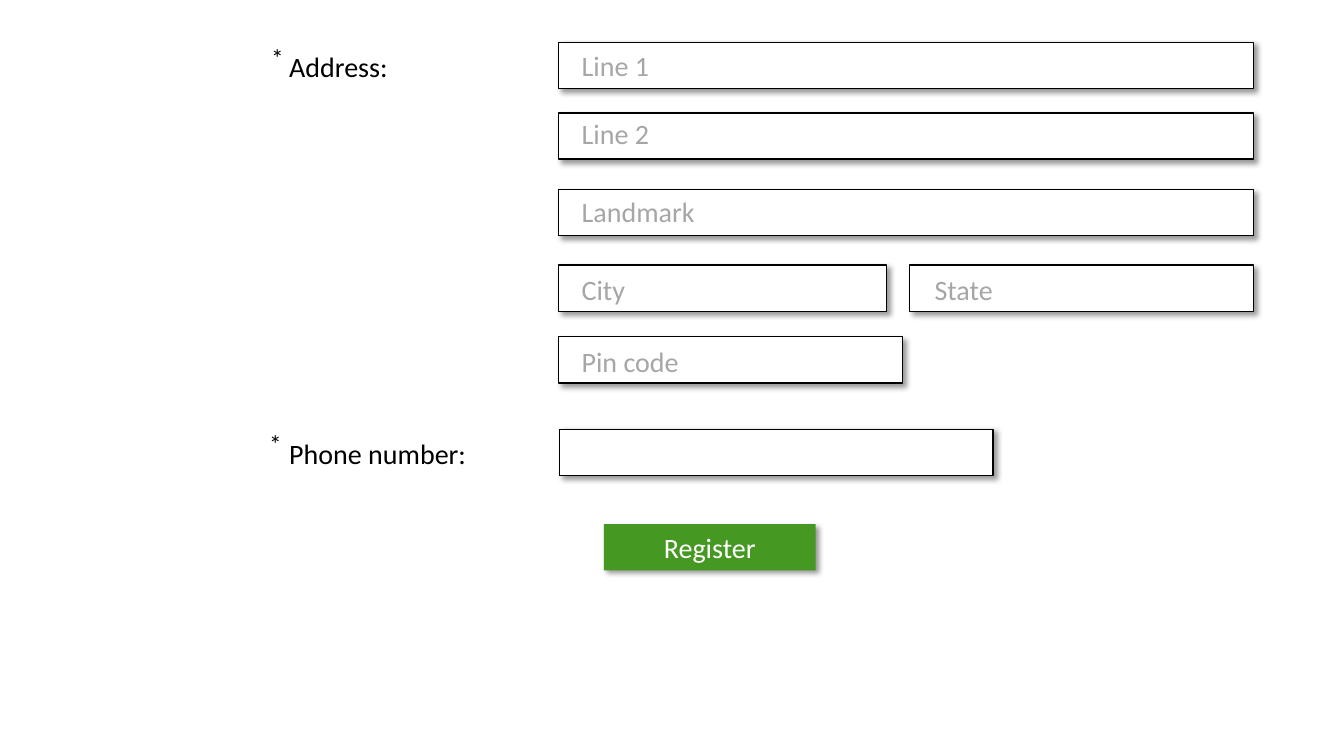
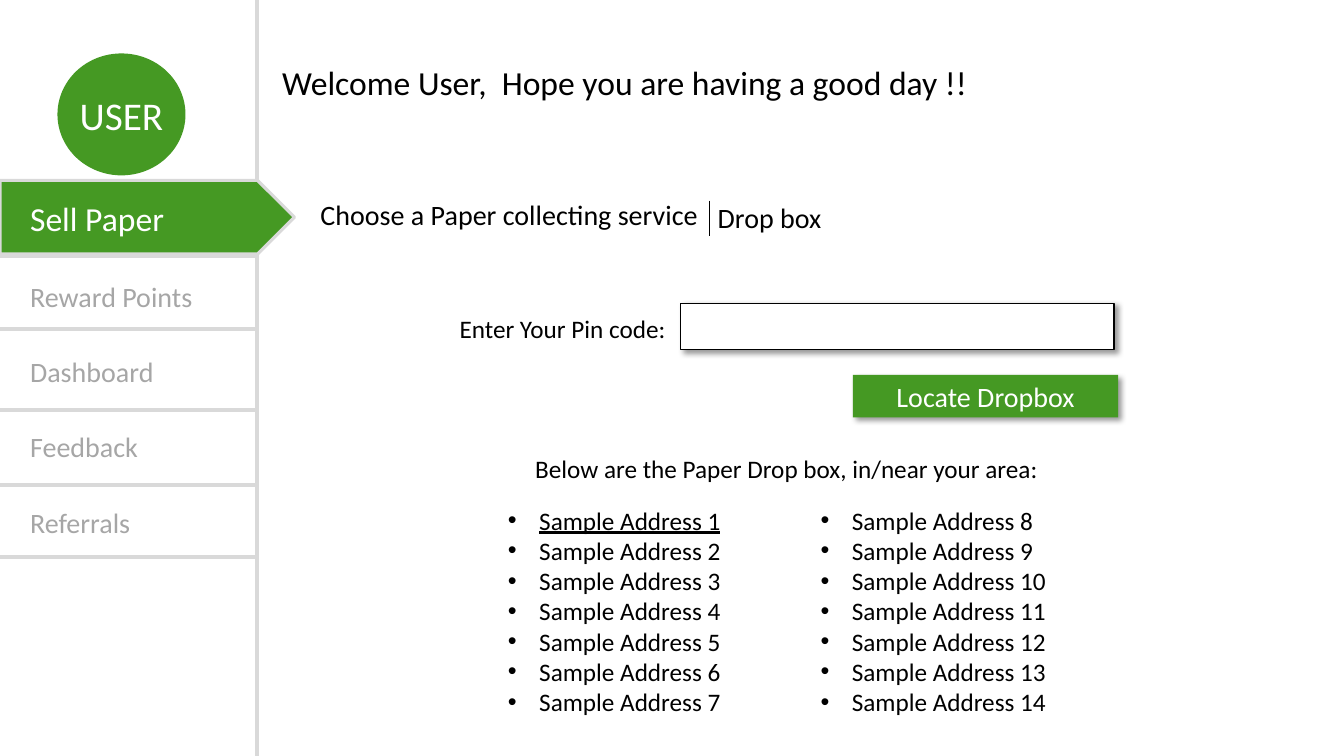
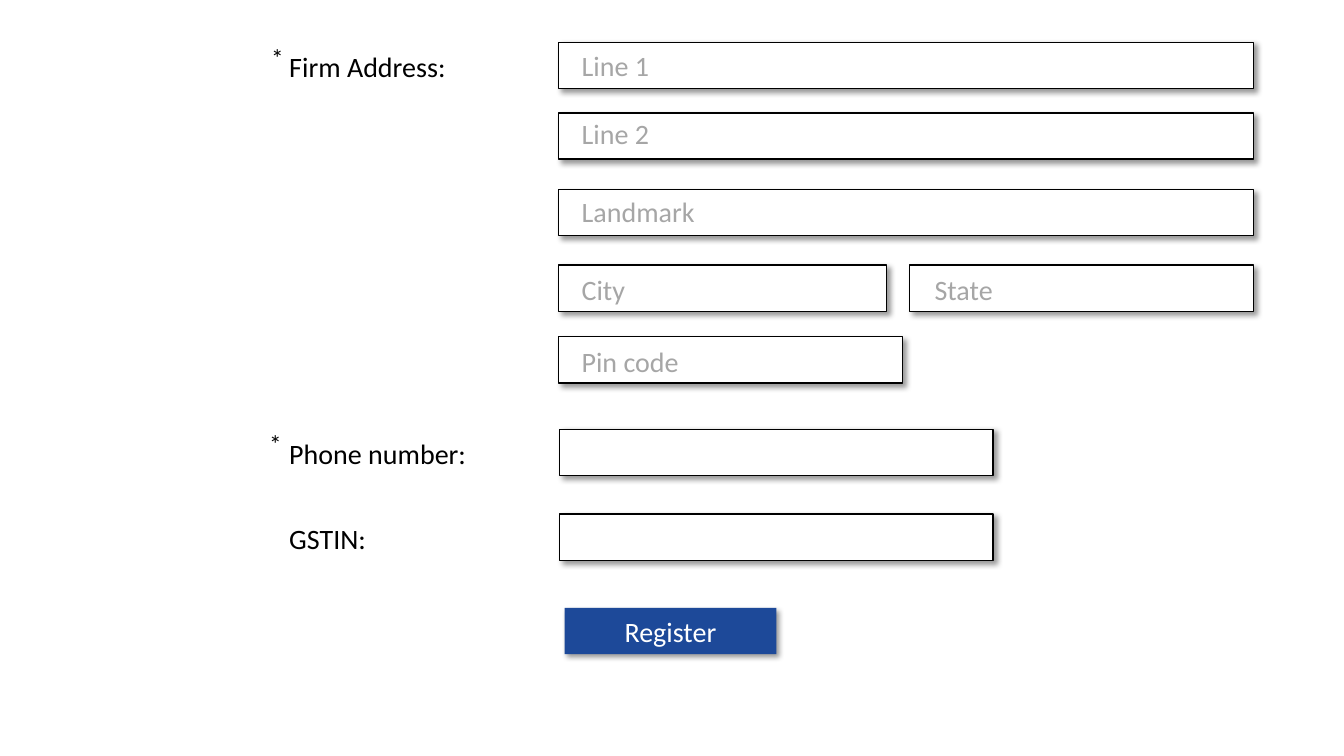
import pptx
import pptx.util
import pptx.dml.color
import pptx.enum.shapes
import pptx.enum.text
import pptx.oxml.ns
import lxml.etree

Inch, Point = pptx.util.Inches, pptx.util.Pt
Shape = pptx.enum.shapes.MSO_SHAPE
Align = pptx.enum.text.PP_ALIGN
Middle = pptx.enum.text.MSO_ANCHOR.MIDDLE
Fit = pptx.enum.text.MSO_AUTO_SIZE.SHAPE_TO_FIT_TEXT
qn = pptx.oxml.ns.qn

# Shared look
WIDE, HIGH = 13.33, 7.5
GREEN, BLUE, BLACK, WHITE = "459923", "1D4999", "000000", "FFFFFF"
GREY, RULE = "A6A6A6", "D9D9D9"
FACE = "Calibri"
LINE = {18: 0.4, 20: 0.44, 24: 0.5}  # text box height by font size
SHADE = {"blurRad": 4, "dist": 3}
FIELD = 0.46  # height of an input box

# Columns of the forms
LABEL, LEFT, RIGHT = 2.77, 5.54, 12.43
HALF = 3.41
BRIEF = 4.3

# Forms: left, top, width of each input box; then hint left, top, width, text
INPUTS = [
    (LEFT, 0.42, RIGHT - LEFT), (LEFT, 1.12, RIGHT - LEFT),
    (LEFT, 1.88, RIGHT - LEFT), (LEFT, 2.63, 3.25),
    (RIGHT - HALF, 2.63, HALF), (LEFT, 3.34, HALF),
]
HINTS = [
    (5.67, 0.43, 3.69, "Line 1"), (5.67, 1.11, 3.69, "Line 2"),
    (5.67, 1.88, 3.69, "Landmark"), (5.67, 2.65, 2.42, "City"),
    (9.17, 2.65, 3.69, "State"), (5.67, 3.37, 2.42, "Pin code"),
]
STARS = [(2.59, 0.37), (2.57, 4.2)]
PHONE, STEP = 4.26, 0.84  # top of the first short row, row pitch
HOME = {"title": "Address:", "rows": ["Phone number:"],
        "button": (5.99, 5.2), "fill": GREEN}
FIRM = {"title": "Firm Address:", "rows": ["Phone number:", "GSTIN:"],
        "button": (5.6, 6.03), "fill": BLUE}

# Sidebar of the user page
SIDE = 2.55
RULES = [1.83, 2.54, 3.26, 4.07, 4.81, 5.53]
MENU = ["Reward Points", "Dashboard", "Feedback", "Referrals"]
MENU_TOP, MENU_STEP = 2.72, 0.747

# Main part of the user page: left, top, width, size, text
NOTES = [
    (2.7, 0.57, 7.79, 24, "Welcome User,  Hope you are having a good day !!"),
    (3.08, 1.91, 5.45, 20, "Choose a Paper collecting service"),
    (7.02, 1.94, 1.44, 20, "Drop box"),
    (4.46, 3.06, 2.7, 18, "Enter Your Pin code:"),
    (5.21, 4.45, 5.58, 18, "Below are the Paper Drop box, in/near your area:"),
]
LISTS = [(4.94, 2.9, range(1, 8)), (8.04, 2.78, range(8, 15))]


def tint(code):
    return pptx.dml.color.RGBColor.from_string(code)


def style(run, size, color, **more):
    """Set the font of a run."""
    form = {"name": FACE, "size": Point(size), **more}
    for key, value in form.items():
        setattr(run.font, key, value)
    run.font.color.rgb = tint(color)


def write(page, left, top, width, text, size=20, color=BLACK):
    """Add a text box, one paragraph for each line."""
    lines = text if isinstance(text, list) else [text]
    box = page.shapes.add_textbox(
        Inch(left), Inch(top), Inch(width), Inch(LINE[size] * len(lines)))
    frame = box.text_frame
    for key, value in {"word_wrap": True, "auto_size": Fit}.items():
        setattr(frame, key, value)
    for index, line in enumerate(lines):
        para = frame.add_paragraph() if index else frame.paragraphs[0]
        run = para.add_run()
        run.text = line
        style(run, size, color)
    return frame


def block(page, kind, at, fill, edge=None, text="", size=20, shade=False,
          wrap=True):
    """Add a filled shape with an optional edge, shadow and centred text."""
    shape = page.shapes.add_shape(kind, *map(Inch, at))
    shape.shadow.inherit = False
    shape.fill.solid()
    shape.fill.fore_color.rgb = tint(fill)
    if edge:
        shape.line.color.rgb = tint(edge[0])
        shape.line.width = Point(edge[1])
    else:
        shape.line.fill.background()
    if shade:
        effects = shape._element.spPr.find(qn("a:effectLst"))
        outer = lxml.etree.SubElement(effects, qn("a:outerShdw"))
        for key, value in SHADE.items():
            outer.set(key, str(int(Point(value))))
        for key, value in {"dir": "2700000", "algn": "tl",
                           "rotWithShape": "0"}.items():
            outer.set(key, value)
        ink = lxml.etree.SubElement(outer, qn("a:srgbClr"), val=BLACK)
        lxml.etree.SubElement(ink, qn("a:alpha"), val="40000")
    if text:
        frame = shape.text_frame
        for key, value in {"word_wrap": wrap,
                           "vertical_anchor": Middle}.items():
            setattr(frame, key, value)
        para = frame.paragraphs[0]
        para.alignment = Align.CENTER
        run = para.add_run()
        run.text = text
        style(run, size, WHITE)


def field(page, left, top, width):
    block(page, Shape.RECTANGLE, (left, top, width, FIELD), WHITE,
          (BLACK, 1), shade=True)


def button(page, at, fill, text):
    block(page, Shape.RECTANGLE, at, fill, text=text, shade=True)


def rule(page, ends, color=RULE, width=2.75):
    line = page.shapes.add_connector(
        pptx.enum.shapes.MSO_CONNECTOR.STRAIGHT, *map(Inch, ends))
    line.line.color.rgb = tint(color)
    line.line.width = Point(width)
    lxml.etree.SubElement(line._element.spPr, qn("a:effectLst"))


def bullet(frame):
    for para in frame.paragraphs:
        props = para._p.get_or_add_pPr()
        props.set("marL", str(int(Inch(0.31))))
        props.set("indent", str(int(Inch(-0.31))))
        lxml.etree.SubElement(props, qn("a:buFont"), typeface="Arial")
        lxml.etree.SubElement(props, qn("a:buChar"), char="•")


def form(page, data):
    """Draw a sign-up form."""
    for spot in INPUTS:
        field(page, *spot)
    for left, top, width, text in HINTS:
        write(page, left, top, width, text, color=GREY)
    write(page, LABEL, 0.44, 3.69, data["title"])
    for index, label in enumerate(data["rows"]):
        top = PHONE + index * STEP
        field(page, LEFT + 0.01, top, BRIEF)
        write(page, LABEL, top + 0.02, 3.69, label)
    for left, top in STARS:
        write(page, left, top, 0.66, "*", 18)
    button(page, (*data["button"], 2.1, FIELD), data["fill"], "Register")


def sidebar(page):
    """Draw the menu on the left."""
    rule(page, (SIDE, 0, SIDE, HIGH))
    for top in RULES:
        rule(page, (0, top, SIDE, top))
    block(page, Shape.OVAL, (0.57, 0.53, 1.27, 1.21), GREEN,
          text="USER", size=28, wrap=False)
    block(page, Shape.PENTAGON, (0, 1.79, 2.92, 0.73), GREEN, (RULE, 2.25))
    write(page, 0.2, 1.91, 1.81, "Sell Paper", 24, WHITE)
    for index, name in enumerate(MENU):
        write(page, 0.2, MENU_TOP + index * MENU_STEP, 1.81, name, color=GREY)


def finder(page):
    """Draw the drop box search."""
    for left, top, width, size, text in NOTES:
        write(page, left, top, width, text, size)
    rule(page, (7.04, 1.99, 7.04, 2.34), BLACK, 0.5)
    field(page, 6.75, 3.01, BRIEF)
    button(page, (8.46, 3.72, 2.63, 0.42), GREEN, "Locate Dropbox")
    for left, width, span in LISTS:
        names = [f"Sample Address {number}" for number in span]
        frame = write(page, left, 4.96, width, names, 18)
        bullet(frame)
        if span[0] == 1:
            frame.paragraphs[0].runs[0].font.underline = True


def main():
    deck = pptx.Presentation()
    deck.slide_width, deck.slide_height = Inch(WIDE), Inch(HIGH)
    first, second, third = [
        deck.slides.add_slide(deck.slide_layouts[6]) for _ in range(3)]
    form(first, HOME)
    sidebar(second)
    finder(second)
    form(third, FIRM)
    deck.save("out.pptx")


if __name__ == "__main__":
    main()
